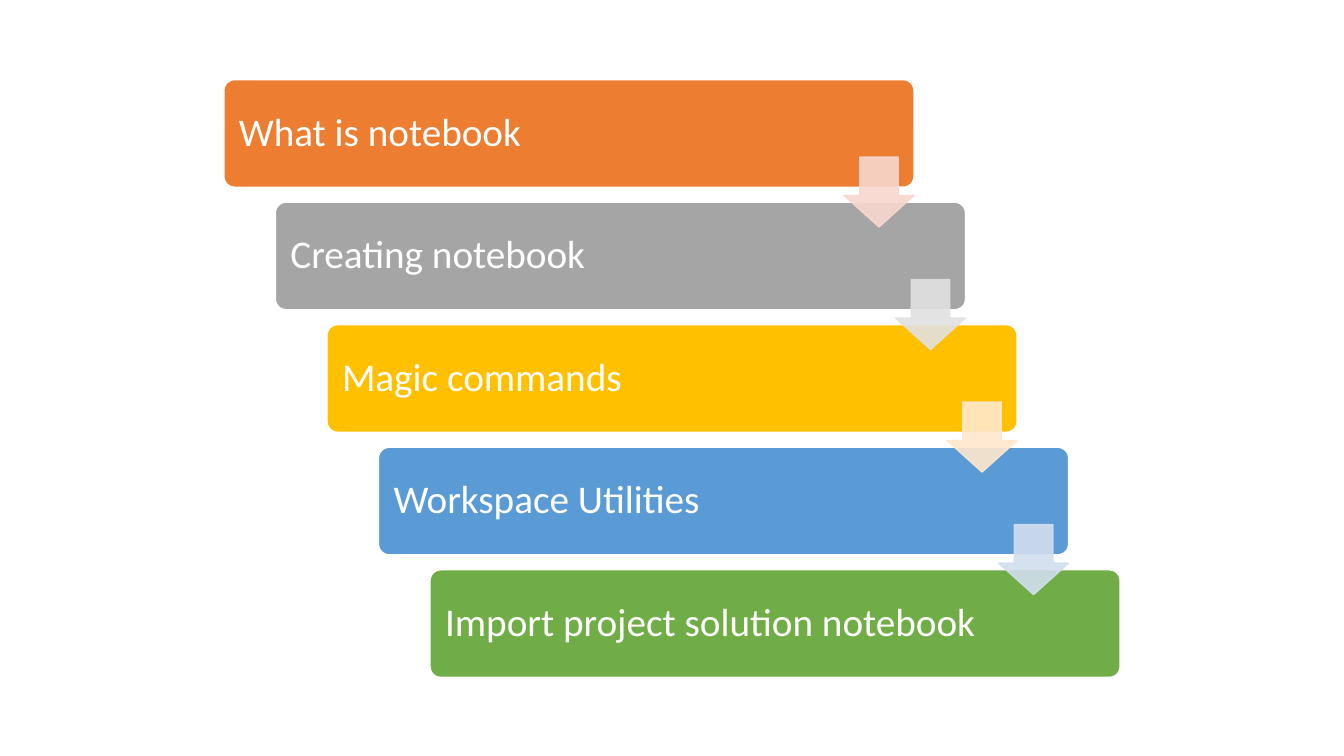
from lxml import etree
from pptx import Presentation
from pptx.dml.color import RGBColor
from pptx.enum.shapes import MSO_SHAPE as Preset
from pptx.enum.text import MSO_ANCHOR as Anchor, PP_ALIGN as Align
from pptx.oxml.ns import qn
from pptx.util import Inches, Pt

SLIDE_WIDTH, SLIDE_HEIGHT = 13.33, 7.5
COLORS = {
    "white": "FFFFFF",
    "orange": "ED7D31", "gray": "A5A5A5", "gold": "FFC000",
    "blue": "5B9BD5", "green": "70AD47",
    "pale orange": "F8D7CE", "pale gray": "E1E1E1",
    "pale gold": "FFE8CC", "pale blue": "D2DEEF",
}
# Topic, bar color, color of the arrow to the next topic
TOPICS = [
    ("What is notebook", "orange", "pale orange"),
    ("Creating notebook", "gray", "pale gray"),
    ("Magic commands", "gold", "pale gold"),
    ("Workspace Utilities", "blue", "pale blue"),
    ("Import project solution notebook", "green", None),
]


def color(name):
    return RGBColor.from_string(COLORS[name])


def add_box(slide, preset, box, adjustments, fill, line, alpha=None):
    """Add a filled and outlined preset shape, optionally translucent."""
    shape = slide.shapes.add_shape(preset, *map(Inches, box))
    shape.shadow.inherit = False
    for index, value in enumerate(adjustments):
        shape.adjustments[index] = value
    shape.fill.solid()
    shape.fill.fore_color.rgb = color(fill)
    shape.line.color.rgb = color(line)
    shape.line.width = Pt(1)
    if alpha is not None:
        for element in shape._element.spPr.iter(qn("a:srgbClr")):
            etree.SubElement(element, qn("a:alpha")).set("val", str(alpha * 1000))
    return shape


def add_text(slide, box, text, size=28, font="Calibri", ink="white", inset=0.12):
    text_box = slide.shapes.add_textbox(*map(Inches, box))
    frame = text_box.text_frame
    frame.word_wrap = True
    frame.vertical_anchor = Anchor.MIDDLE
    frame.margin_left = frame.margin_right = Inches(inset)
    frame.margin_top = frame.margin_bottom = Inches(inset)
    paragraph = frame.paragraphs[0]
    paragraph.alignment = Align.LEFT
    paragraph.line_spacing = 0.9
    run = paragraph.add_run()
    run.text = text
    run.font.size = Pt(size)
    run.font.name = font
    run.font.color.rgb = color(ink)


def add_staircase(slide, left, top, width, height):
    """Fill the box with bars stepping down to the right, joined by arrows."""
    steps = len(TOPICS) - 1
    bar_width, bar_height = width * 0.77, height * 0.18
    step_x = (width - bar_width) / steps
    step_y = (height - bar_height) / steps
    arrow_size = bar_height * 0.65
    pad = 0.03

    # Bars with their labels
    for index, (topic, fill, _) in enumerate(TOPICS):
        x, y = left + index * step_x, top + index * step_y
        add_box(slide, Preset.ROUNDED_RECTANGLE, (x, y, bar_width, bar_height),
                [0.1], fill, "white")
        label = (x + pad, y + pad, bar_width * 0.815, bar_height - 2 * pad)
        add_text(slide, label, topic)

    # Arrows, right-aligned with the bar they leave
    for index, (_, _, fill) in enumerate(TOPICS[:-1]):
        x = left + index * step_x + bar_width - arrow_size
        y = top + index * step_y + bar_height * 0.72
        add_box(slide, Preset.DOWN_ARROW, (x, y, arrow_size, arrow_size),
                [0.55, 0.45], fill, fill, alpha=90)


def main():
    presentation = Presentation()
    presentation.slide_width = Inches(SLIDE_WIDTH)
    presentation.slide_height = Inches(SLIDE_HEIGHT)
    slide = presentation.slides.add_slide(presentation.slide_layouts[6])
    slide.background.fill.solid()
    slide.background.fill.fore_color.rgb = color("white")
    add_staircase(slide, 2.22, 0.79, 8.89, 5.93)
    presentation.save("out.pptx")


if __name__ == "__main__":
    main()
